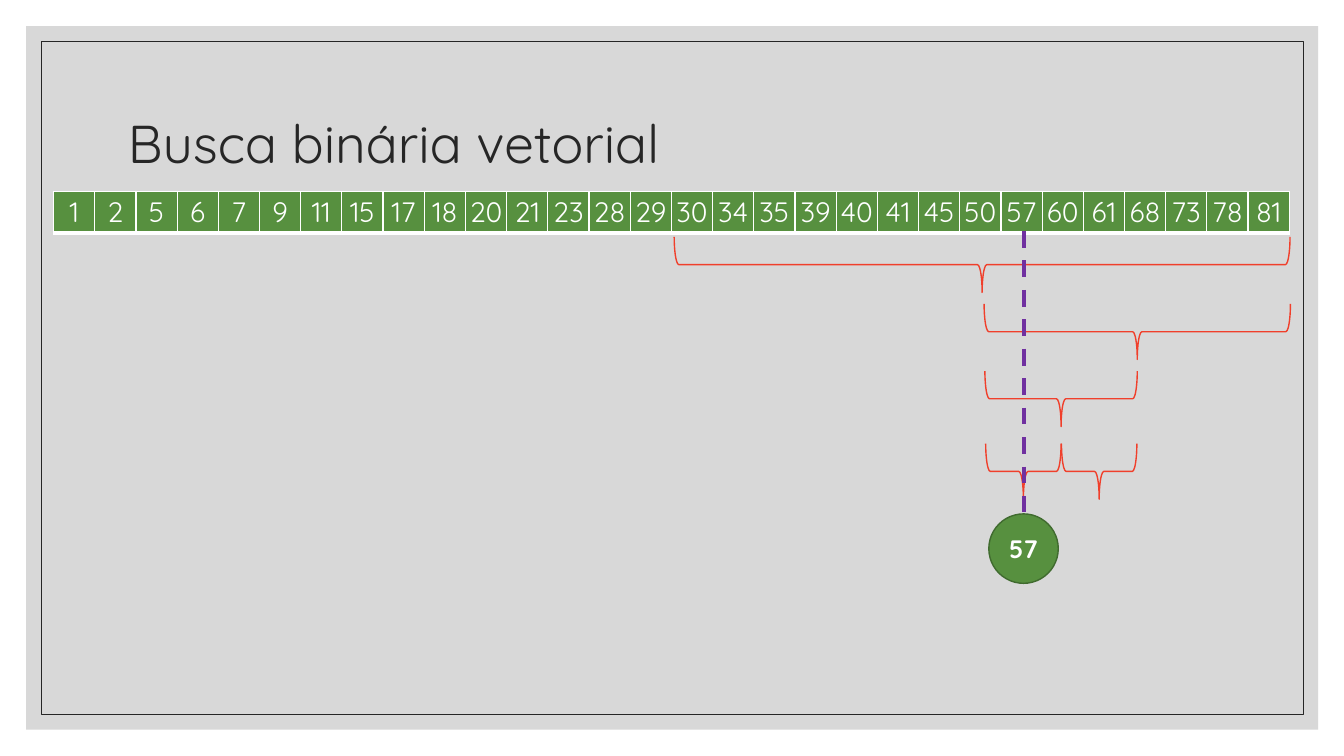
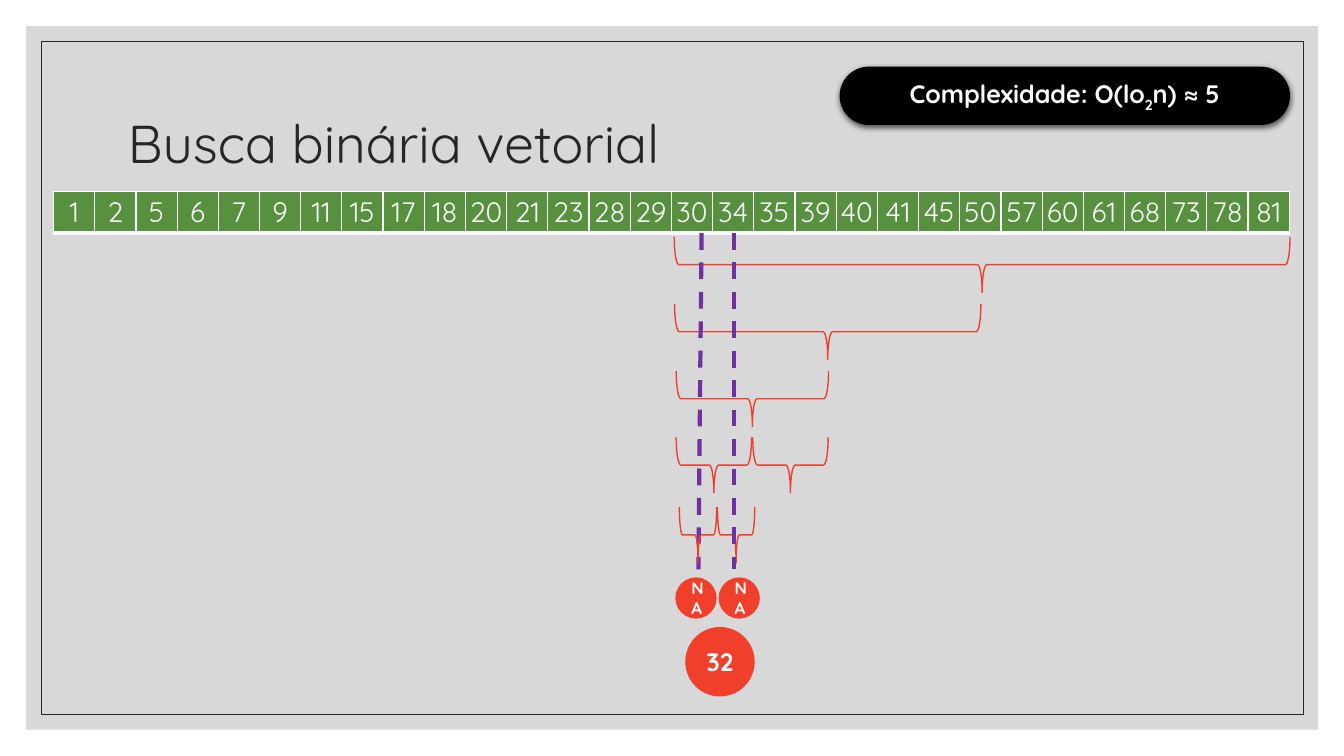
from lxml import etree
from pptx import Presentation
from pptx.dml.color import RGBColor
from pptx.enum.dml import MSO_LINE
from pptx.enum.shapes import MSO_CONNECTOR, MSO_SHAPE
from pptx.enum.text import MSO_ANCHOR, MSO_AUTO_SIZE, PP_ALIGN
from pptx.oxml import parse_xml
from pptx.oxml.ns import nsdecls, qn
from pptx.util import Cm, Pt

RECT, OVAL = MSO_SHAPE.RECTANGLE, MSO_SHAPE.OVAL
PILL, BRACE = MSO_SHAPE.ROUNDED_RECTANGLE, MSO_SHAPE.RIGHT_BRACE
STRAIGHT, DASH = MSO_CONNECTOR.STRAIGHT, MSO_LINE.DASH
MIDDLE, NO_FIT = MSO_ANCHOR.MIDDLE, MSO_AUTO_SIZE.NONE
LEFT, CENTER = PP_ALIGN.LEFT, PP_ALIGN.CENTER

FONT = "Quicksand"
COLORS = {
    "panel": "BFBFBF",
    "ink": "262626",
    "white": "FFFFFF",
    "black": "000000",
    "green": "57903F",
    "dark_green": "406B2F",
    "red": "F03F2B",
    "purple": "7030A0",
}
TITLE = "Busca binária vetorial"
VALUES = [1, 2, 5, 6, 7, 9, 11, 15, 17, 18, 20, 21, 23, 28, 29,
          30, 34, 35, 39, 40, 41, 45, 50, 57, 60, 61, 68, 73, 78, 81]
BRACE_DEPTH = 1.4
BORDERS = {"lnL": 1, "lnR": 1, "lnT": 1, "lnB": 3}


def rgb(name):
    return RGBColor.from_string(COLORS[name])


class Deck:
    def __init__(self):
        self.prs = Presentation()
        self.prs.slide_width, self.prs.slide_height = Cm(33.87), Cm(19.05)
        self.layout = self.prs.slide_layouts[5]
        self.s = None

    def new_slide(self):
        self.s = self.prs.slides.add_slide(self.layout)

    def share_frame(self):
        panel = self.shape(RECT, 0.66, 0.66, 32.56, 17.73, fill="panel")
        color = panel.fill._xPr.find(qn("a:solidFill"))[0]
        etree.SubElement(color, qn("a:alpha")).set("val", "60000")
        border = self.shape(RECT, 1.04, 1.04, 31.8, 16.97, line="ink", weight=0.5)
        for i, sp in enumerate((panel, border)):
            self.layout.shapes.element.insert(2 + i, sp._element)

    def style(self, r, size, color, bold=False):
        r.font.name, r.font.size, r.font.bold = FONT, Pt(size), bold
        r.font.color.rgb = rgb(color)

    def title(self, text):
        sp = self.s.shapes.title
        sp.left, sp.top, sp.width, sp.height = Cm(2.97), Cm(1.78), Cm(27.94), Cm(3.81)
        tf = sp.text_frame
        tf.text = text
        tf.vertical_anchor, tf.auto_size = MIDDLE, NO_FIT
        p = tf.paragraphs[0]
        p.alignment, p.line_spacing = LEFT, 0.9
        self.style(p.runs[0], 38, "ink")

    def shape(self, kind, x, y, w, h, fill=None, line=None, weight=1):
        sp = self.s.shapes.add_shape(kind, Cm(x), Cm(y), Cm(w), Cm(h))
        sp.shadow.inherit = False
        if fill:
            sp.fill.solid()
            sp.fill.fore_color.rgb = rgb(fill)
        else:
            sp.fill.background()
        if line:
            sp.line.color.rgb = rgb(line)
            sp.line.width = Pt(weight)
        else:
            sp.line.fill.background()
        return sp

    def label(self, sp, parts, size):
        tf = sp.text_frame
        tf.word_wrap, tf.vertical_anchor = True, MIDDLE
        p = tf.paragraphs[0]
        p.alignment = CENTER
        for text, baseline in parts:
            r = p.add_run()
            r.text = text
            self.style(r, size, "white", True)
            if baseline:
                r._r.get_or_add_rPr().set("baseline", str(baseline))

    def circle(self, x, y, d, text, size, fill, line=None):
        self.label(self.shape(OVAL, x, y, d, d, fill, line), [(text, 0)], size)

    def pill(self, x, y, w, h, parts):
        sp = self.shape(PILL, x, y, w, h, "black")
        sp.adjustments[0] = 0.5
        effects = sp._element.spPr.find(qn("a:effectLst"))
        effects.append(parse_xml(
            f'<a:outerShdw {nsdecls("a")} blurRad="{Pt(4.5)}" dist="{Pt(1.5)}" '
            f'dir="5400000" rotWithShape="0"><a:srgbClr val="{COLORS["black"]}">'
            '<a:alpha val="63000"/></a:srgbClr></a:outerShdw>'))
        self.label(sp, parts, 18)

    def braces(self, y, w, *lefts):
        for x in lefts:
            sp = self.shape(BRACE, x + (w - BRACE_DEPTH) / 2, y + (BRACE_DEPTH - w) / 2,
                            BRACE_DEPTH, w, line="red")
            sp.rotation = 90

    def dashed_line(self, x1, y1, x2, y2):
        c = self.s.shapes.add_connector(STRAIGHT, Cm(x1), Cm(y1), Cm(x2), Cm(y2))
        c.line.color.rgb = rgb("purple")
        c.line.width, c.line.dash_style = Pt(3), DASH
        etree.SubElement(c._element.spPr, qn("a:effectLst"))

    def array(self, values):
        table = self.s.shapes.add_table(1, len(values), Cm(1.35), Cm(4.83),
                                        Cm(31.16), Cm(1.04)).table
        table.first_row = table.horz_banding = False
        for cell, value in zip(table.rows[0].cells, values):
            cell.text = str(value)
            cell.vertical_anchor = MIDDLE
            cell.margin_left = cell.margin_right = cell.margin_top = cell.margin_bottom = 0
            cell.fill.solid()
            cell.fill.fore_color.rgb = rgb("green")
            p = cell.text_frame.paragraphs[0]
            p.alignment = CENTER
            self.style(p.runs[0], 20, "white")
            for i, (side, weight) in enumerate(BORDERS.items()):
                cell._tc.get_or_add_tcPr().insert(i, parse_xml(
                    f'<a:{side} {nsdecls("a")} w="{Pt(weight)}"><a:solidFill>'
                    f'<a:srgbClr val="{COLORS["white"]}"/></a:solidFill></a:{side}>'))

    def search_base(self):
        self.title(TITLE)
        self.array(VALUES)
        self.braces(5.97, 15.52, 16.99)


def found_slide(deck):
    deck.search_base()
    deck.braces(7.66, 7.72, 24.8)
    deck.braces(9.35, 3.84, 24.82)
    deck.braces(11.18, 1.9, 24.84, 26.75)
    deck.dashed_line(25.81, 5.82, 25.81, 12.9)
    deck.circle(24.92, 12.95, 1.75, "57", 18, "green", "dark_green")


def missing_slide(deck):
    deck.search_base()
    deck.braces(7.66, 7.72, 17)
    deck.braces(9.35, 3.84, 17.04)
    deck.braces(11.02, 1.9, 17.04, 18.97)
    deck.dashed_line(17.68, 5.87, 17.6, 14.35)
    deck.braces(12.78, 0.94, 17.12, 18.08)
    deck.dashed_line(18.49, 5.87, 18.49, 14.35)
    for x in (18.11, 17.02):
        deck.circle(x, 14.55, 1.04, "NA", 12, "red")
    deck.pill(21.16, 1.68, 11.35, 1.47,
              [("Complexidade: O(lo", 0), ("2", -25000), ("n) ≈ 5", 0)])
    deck.circle(17.27, 15.8, 1.75, "32", 18, "red")


deck = Deck()
deck.new_slide()
deck.share_frame()
found_slide(deck)
deck.new_slide()
missing_slide(deck)
deck.prs.save("out.pptx")
